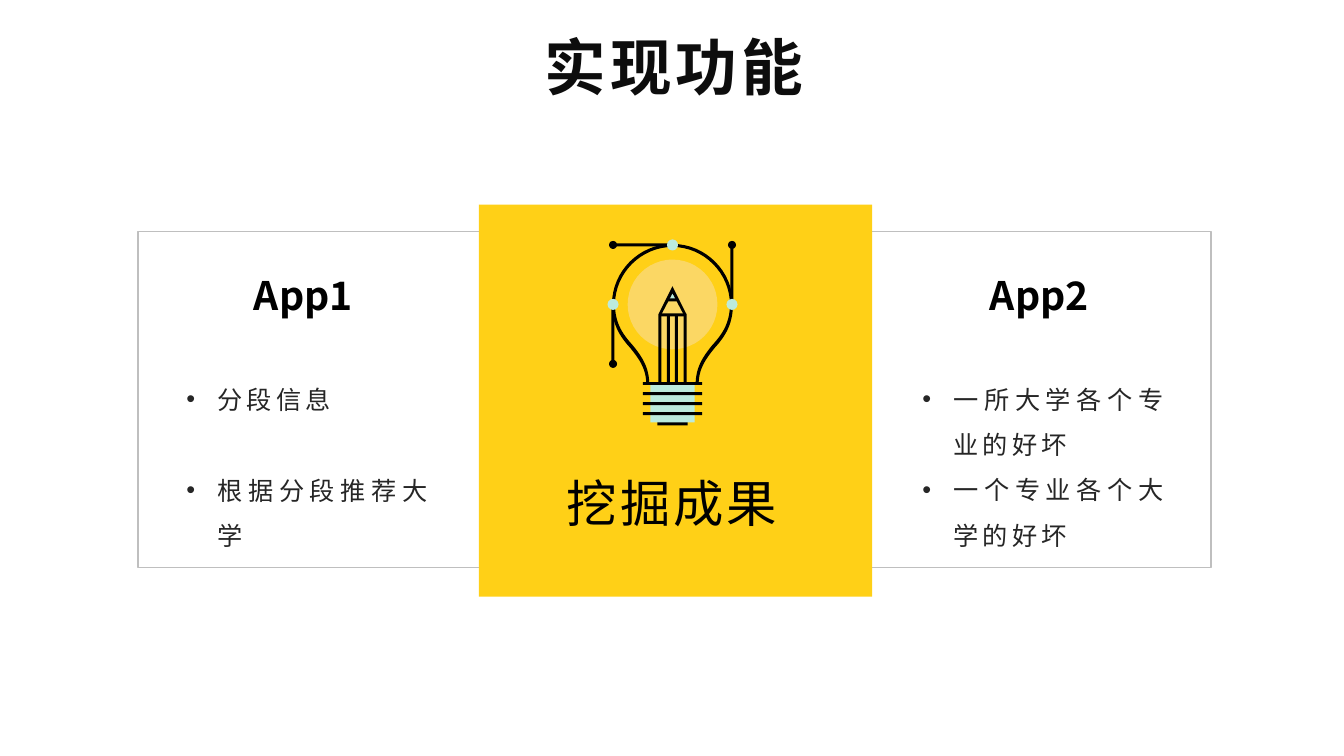
from lxml import etree
from pptx import Presentation
from pptx.dml.color import RGBColor
from pptx.enum.shapes import MSO_SHAPE as Shape
from pptx.enum.text import MSO_AUTO_SIZE as AutoSize, PP_ALIGN as Align
from pptx.oxml.ns import qn
from pptx.util import Inches, Pt

FONT = "Noto Sans CJK SC"
BLACK, YELLOW, MINT, GLOW = "000000", "FFD017", "BCEBDD", "FBD764"
CELL = Inches(0.1)  # the slide is a grid of square cells
COLUMNS, ROWS = 133.3, 75
BULB_COLUMN, BULB_ROW = 66.7, 30.2  # centre of the bulb's glass
RADIUS, STROKE = 5.9, 0.3


def cells(*counts):
    return [round(count * CELL) for count in counts]


def color(value):
    return RGBColor.from_string(value)


def paint(shape, fill=None, line=None):
    shape.shadow.inherit = False
    if fill:
        shape.fill.solid()
        shape.fill.fore_color.rgb = color(fill)
    else:
        shape.fill.background()
    if line:
        shape.line.color.rgb = color(line)
        shape.line.width = Pt(1)
    else:
        shape.line.fill.background()


def add_panel(page, column, row, width, height, **look):
    paint(page.shapes.add_shape(Shape.RECTANGLE, *cells(column, row, width, height)), **look)


def add_text(page, area, lines, size, ink=BLACK, bold=False, tracking=0,
             align=Align.LEFT, leading=1, bullet=False, gap=0, wrap=True):
    """Write one paragraph per line; gap is the space in points between them."""
    box = page.shapes.add_textbox(*cells(*area))
    frame = box.text_frame
    frame.word_wrap = wrap
    frame.auto_size = AutoSize.SHAPE_TO_FIT_TEXT
    for index, line in enumerate(lines):
        para = frame.add_paragraph() if index else frame.paragraphs[0]
        para.alignment = align
        para.line_spacing = leading
        if index and gap:
            para.space_before = Pt(gap)
        if bullet:
            props = para._p.get_or_add_pPr()
            props.set("marL", str(Inches(0.31)))
            props.set("indent", str(-Inches(0.31)))
            etree.SubElement(props, qn("a:buFont")).set("typeface", "Arial")
            etree.SubElement(props, qn("a:buChar")).set("char", "•")
        span = para.add_run()
        span.text = line
        font = span.font
        font.size, font.bold, font.name = Pt(size), bold, FONT
        font.color.rgb = color(ink)
        run_props = span._r.get_or_add_rPr()
        run_props.set("spc", str(tracking * 100))
        east_asian = etree.Element(qn("a:ea"), typeface=FONT)
        run_props.find(qn("a:latin")).addnext(east_asian)


def add_part(icon, x, y, width, height, fill=BLACK, kind=Shape.RECTANGLE):
    """Place a shape by its middle, measured from the bulb's centre."""
    area = cells(BULB_COLUMN + x - width / 2, BULB_ROW + y - height / 2, width, height)
    paint(icon.shapes.add_shape(kind, *area), fill)


def add_dot(icon, x, y, size, fill=BLACK):
    add_part(icon, x, y, size, size, fill, Shape.OVAL)


def add_mirrored(icon, right_half, fill=BLACK):
    """Draw an outline from its right half and that half's reflection."""
    points = right_half + [(-x, y) for x, y in reversed(right_half)]
    spots = [cells(BULB_COLUMN + x, BULB_ROW + y) for x, y in points]
    builder = icon.shapes.build_freeform(*spots[0])
    builder.add_line_segments(spots[1:], close=True)
    paint(builder.convert_to_shape(), fill)


def curve(start, *segments, steps=16):
    """Sample a chain of cubic curves, each given as two handles and an end."""
    points = [start]
    for first, second, end in segments:
        for step in range(1, steps + 1):
            t = step / steps
            weights = ((1 - t) ** 3, 3 * t * (1 - t) ** 2, 3 * t * t * (1 - t), t ** 3)
            corners = (start, first, second, end)
            points.append(tuple(sum(w * corner[axis] for w, corner in zip(weights, corners))
                                for axis in (0, 1)))
        start = end
    return points


def add_glass(icon):
    outer = curve((0, -6), ((3.3, -6), (6, -3.3), (6, 0)),
                  ((6, 2.1), (5.1, 3.3), (4.2, 4.3)),
                  ((3.4, 5.3), (2.6, 6.3), (2.6, 7.9)))
    inner = curve((2.3, 7.9), ((2.3, 6.2), (3.1, 5.1), (3.9, 4.1)),
                  ((4.8, 3.1), (5.7, 2), (5.7, 0)),
                  ((5.7, -3.1), (3.1, -5.7), (0, -5.7)))
    add_mirrored(icon, outer + inner)


def add_pencil(icon):
    add_mirrored(icon, [(0, -1.4), (0.5, -0.4)], MINT)
    add_part(icon, 0, -0.45, 1, STROKE)
    add_part(icon, 0, 1.05, 2.4, STROKE)
    for x in (-0.4, 0.4):
        add_part(icon, x, 4.45, STROKE, 6.9)
    add_mirrored(icon, [(0, -1.8), (1.4, 1), (1.4, 7.9), (1.1, 7.9), (1.1, 1), (0, -1.1)])


def add_bulb(page):
    icon = page.shapes.add_group_shape()
    add_dot(icon, 0, 0, 8.9, GLOW)
    add_part(icon, 0, 10.7, 3, 2.6)
    add_part(icon, 0, 9.8, 4.4, 3.8, MINT)
    for thread in range(4):
        add_part(icon, 0, 7.85 + thread, RADIUS, STROKE)
    half = RADIUS / 2
    add_part(icon, -half, -RADIUS, RADIUS, STROKE)
    for x, y in ((RADIUS, -half), (-RADIUS, half)):
        add_part(icon, x, y, STROKE, RADIUS)
    add_glass(icon)
    add_pencil(icon)
    for x, y in ((-1, -1), (1, -1), (-1, 1)):
        add_dot(icon, x * RADIUS, y * RADIUS, 0.8)
    for x, y in ((1, 0), (-1, 0), (0, -1)):
        add_dot(icon, x * RADIUS, y * RADIUS, 1.1, MINT)


def add_app(page, column, name, features, gap=0):
    add_text(page, (column, 36.1, 26.3, 19.2), features, 18, ink="262626", tracking=3,
             align=Align.JUSTIFY, leading=1.5, bullet=True, gap=gap)
    add_text(page, (column + 6.7, 26.4, 12.9, 5.7), [name], 28, bold=True)


def main():
    deck = Presentation()
    deck.slide_width, deck.slide_height = cells(COLUMNS, ROWS)
    page = deck.slides.add_slide(deck.slide_layouts[6])
    add_text(page, (52.8, 2.4, 28.1, 8.4), ["实现功能"], 44, ink="0D0D0D", bold=True,
             tracking=3, align=Align.CENTER, wrap=False)
    add_panel(page, 13.7, 23, 106.4, 33.3, line="BFBFBF")
    add_panel(page, 47.5, 20.3, 39, 38.9, fill=YELLOW)
    add_app(page, 17.5, "App1", ["分段信息", "根据分段推荐大学"], gap=32.5)
    add_app(page, 90.5, "App2", ["一所大学各个专业的好坏", "一个专业各个大学的好坏"])
    add_text(page, (51.5, 43.3, 30.3, 10.1), ["挖 掘 成 果"], 36, tracking=-3,
             align=Align.CENTER, leading=1.5)
    add_bulb(page)
    deck.save("out.pptx")


if __name__ == "__main__":
    main()
